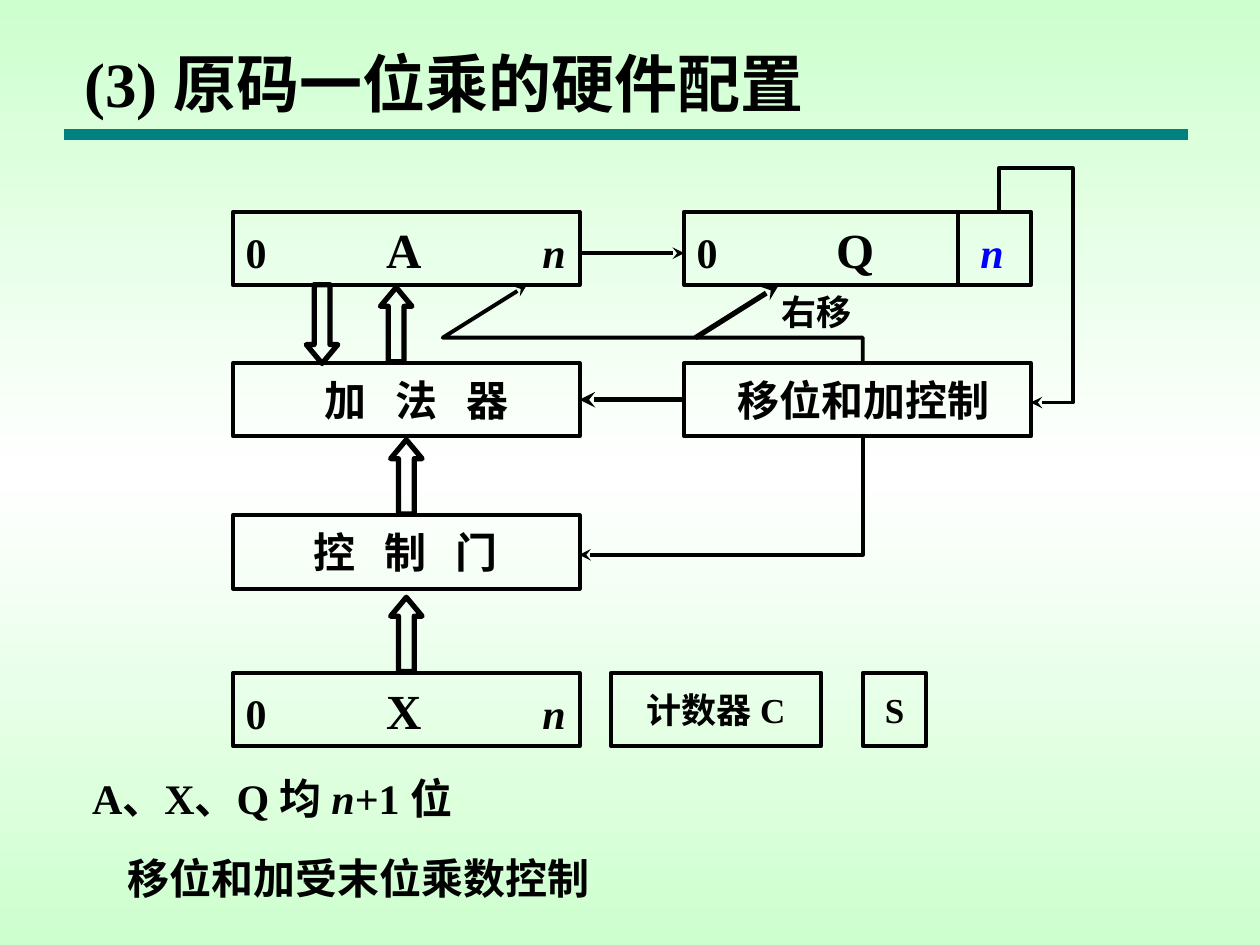
"""Build the slide on the hardware layout of one-bit sign-magnitude multiplication."""
from copy import deepcopy
from dataclasses import dataclass

from pptx import Presentation
from pptx.dml.color import RGBColor
from pptx.enum.shapes import MSO_CONNECTOR, MSO_SHAPE
from pptx.enum.text import MSO_ANCHOR, MSO_AUTO_SIZE, PP_ALIGN
from pptx.oxml.ns import qn
from pptx.oxml.xmlchemy import OxmlElement
from pptx.shapes.autoshape import Shape
from pptx.shapes.connector import Connector
from pptx.slide import Slide
from pptx.util import Pt

BLACK = RGBColor(0x00, 0x00, 0x00)
BLUE = RGBColor(0x00, 0x00, 0xFF)
TEAL = RGBColor(0x00, 0x80, 0x80)
PALE_GREEN = RGBColor(0xCD, 0xFF, 0xCE)
WHITE = RGBColor(0xFF, 0xFF, 0xFF)
FONT = "Times New Roman"

BOX_WIDTH, BOX_HEIGHT = 198, 42
LEFT, RIGHT = 133.2, 391
LEFT_END = LEFT + BOX_WIDTH
RIGHT_END = RIGHT + BOX_WIDTH
REGISTER_TOP, ADDER_TOP, GATE_TOP, X_TOP = 121, 207.4, 294.4, 384.4
CONTROL_X = 493.2


@dataclass(frozen=True)
class Span:
    text: str
    size: float = 24
    italic: bool = False
    color: RGBColor = BLACK


@dataclass(frozen=True)
class Block:
    left: float
    top: float
    spans: tuple[Span, ...]
    tabs: tuple[tuple[float, str], ...] = ()
    width: float = BOX_WIDTH
    inset: float = 7.2


@dataclass(frozen=True)
class BusArrow:
    left: float
    top: float
    height: float = 42.5
    rotation: float = 0


@dataclass(frozen=True)
class Wire:
    points: tuple[tuple[float, float], ...]
    width: float = 2.25
    arrow: bool = True


def register(left: float, top: float, name: str, last: Span, end: float) -> Block:
    """Describe a register with its first bit, name and last bit."""
    spans = (Span("0\t"), Span(name, 28), Span("\t"), last)
    return Block(left, top, spans, ((90.5, "ctr"), (end, "r")))


def spaced_block(top: float, letters: str, first: float) -> Block:
    """Describe a left-hand block whose letters are spread evenly."""
    text = "".join("\t" + letter for letter in letters)
    tabs = tuple((first + 40.6 * i, "ctr") for i in range(len(letters)))
    return Block(LEFT, top, (Span(text),), tabs)


LAST_BIT = Span("n", italic=True)
ADDER = spaced_block(ADDER_TOP, "加法器", 57)
CONTROL = Block(RIGHT, ADDER_TOP, (Span("移位和加控制"),), inset=14)
BLOCKS = (
    register(LEFT, REGISTER_TOP, "A", LAST_BIT, 183),
    register(RIGHT, REGISTER_TOP, "Q", Span("n", italic=True, color=BLUE), 175.5),
    ADDER,
    CONTROL,
    spaced_block(GATE_TOP, "控制门", 51),
    register(LEFT, X_TOP, "X", LAST_BIT, 183),
    Block(349.2, X_TOP, (Span("计数器 C", 20),), width=120),
    Block(CONTROL_X, X_TOP, (Span("S", 20),), width=36),
)
BUS_ARROWS = (
    BusArrow(217.4, 164.2),
    BusArrow(175, 162.7, 45, 180),
    BusArrow(223.2, 251.3),
    BusArrow(223.2, 341.3),
)
WIRES = (
    Wire(((547.2, REGISTER_TOP), (547.2, REGISTER_TOP + BOX_HEIGHT)), arrow=False),
    Wire(((CONTROL_X, ADDER_TOP), (CONTROL_X, 193), (253.4, 193), (301, 163))),
    Wire(((397.4, 193), (445, 163)), 3),
    Wire(((571.2, REGISTER_TOP), (571.2, 96.5), (613.2, 96.5), (613.2, 230.4),
          (RIGHT_END, 230.4))),
    Wire(((LEFT_END, 144.7), (RIGHT, 144.7))),
    Wire(((CONTROL_X, ADDER_TOP + BOX_HEIGHT), (CONTROL_X, 316.8), (LEFT_END, 316.8))),
)
NOTES = (
    (Span("A、X、Q 均 "), Span("n", italic=True), Span("+1 位")),
    (Span("移位和加受末位乘数控制"),),
)


def write_spans(para, spans: tuple[Span, ...]) -> None:
    for item in spans:
        span = para.add_run()
        span.text = item.text
        span.font.name = FONT
        span.font.size = Pt(item.size)
        span.font.bold = True
        span.font.italic = item.italic
        span.font.color.rgb = item.color


def set_tabs(para, tabs: tuple[tuple[float, str], ...]) -> None:
    tab_list = OxmlElement("a:tabLst")
    for position, alignment in tabs:
        tab = OxmlElement("a:tab")
        tab.set("pos", str(int(Pt(position))))
        tab.set("algn", alignment)
        tab_list.append(tab)
    para._p.get_or_add_pPr().append(tab_list)


def place(shape, left: float, top: float, width: float, height: float) -> None:
    shape.left, shape.top = Pt(left), Pt(top)
    shape.width, shape.height = Pt(width), Pt(height)


def outline(shape: Shape, width: float) -> None:
    shape.shadow.inherit = False
    shape.fill.background()
    shape.line.color.rgb = BLACK
    shape.line.width = Pt(width)


def add_arrowhead(shape) -> None:
    head = OxmlElement("a:tailEnd")
    head.set("type", "stealth")
    shape.line._get_or_add_ln().append(head)


def draw_block(slide: Slide, block: Block) -> Shape:
    box = slide.shapes.add_shape(MSO_SHAPE.RECTANGLE, Pt(block.left), Pt(block.top),
                                 Pt(block.width), Pt(BOX_HEIGHT))
    outline(box, 2.25)
    frame = box.text_frame
    frame.word_wrap = True
    frame.vertical_anchor = MSO_ANCHOR.MIDDLE
    frame.margin_left = Pt(block.inset)
    para = frame.paragraphs[0]
    para.alignment = PP_ALIGN.LEFT if block.tabs else PP_ALIGN.CENTER
    if block.tabs:
        set_tabs(para, block.tabs)
    write_spans(para, block.spans)
    return box


def draw_bus_arrow(slide: Slide, arrow: BusArrow) -> None:
    shape = slide.shapes.add_shape(MSO_SHAPE.UP_ARROW, Pt(arrow.left), Pt(arrow.top),
                                   Pt(18), Pt(arrow.height))
    shape.adjustments[0], shape.adjustments[1] = 0.5, 0.6
    shape.rotation = arrow.rotation
    outline(shape, 3)


def draw_line(slide: Slide, start: tuple[float, float], end: tuple[float, float],
              color: RGBColor, width: float) -> Connector:
    line = slide.shapes.add_connector(MSO_CONNECTOR.STRAIGHT,
                                      *(Pt(value) for value in start + end))
    line.line.color.rgb = color
    line.line.width = Pt(width)
    line._element.spPr.append(OxmlElement("a:effectLst"))
    return line


def draw_wire(slide: Slide, wire: Wire) -> None:
    if len(wire.points) == 2:
        shape = draw_line(slide, *wire.points, BLACK, wire.width)
    else:
        builder = slide.shapes.build_freeform(*wire.points[0], scale=float(Pt(1)))
        builder.add_line_segments(wire.points[1:], close=False)
        shape = builder.convert_to_shape()
        outline(shape, wire.width)
    if wire.arrow:
        add_arrowhead(shape)


def paint_background(slide: Slide) -> None:
    fill = slide.background.fill
    fill.gradient()
    fill.gradient_angle = 90
    edge, middle = fill.gradient_stops
    edge.color.rgb, edge.position = PALE_GREEN, 0
    middle.color.rgb, middle.position = WHITE, 0.5
    stops = next(slide._element.iter(qn("a:gsLst")))
    last = deepcopy(stops[0])
    last.set("pos", "100000")
    stops.append(last)


def write_text(slide: Slide) -> None:
    title, body = slide.placeholders
    place(title, 41, 21.6, 487.4, 50.4)
    place(body, 45.4, 437.8, 320, 84)
    for holder in (title, body):
        holder.text_frame.auto_size = MSO_AUTO_SIZE.NONE
        holder.text_frame.vertical_anchor = MSO_ANCHOR.TOP
    heading = title.text_frame.paragraphs[0]
    heading.alignment = PP_ALIGN.LEFT
    write_spans(heading, (Span("(3) 原码一位乘的硬件配置", 36),))
    for index, spans in enumerate(NOTES):
        para = body.text_frame.add_paragraph() if index else body.text_frame.paragraphs[0]
        para.space_before = Pt(17 * index)
        properties = para._p.get_or_add_pPr()
        properties.set("marL", str(int(Pt(20.2 * index))))
        properties.set("indent", "0")
        properties.append(OxmlElement("a:buNone"))
        write_spans(para, spans)
    label = slide.shapes.add_textbox(Pt(439.2), Pt(162.7), Pt(84), Pt(31.7))
    label.text_frame.word_wrap = True
    write_spans(label.text_frame.paragraphs[0], (Span("右移", 20),))


def main() -> None:
    deck = Presentation()
    deck.slide_width, deck.slide_height = Pt(720), Pt(540)
    page = deck.slides.add_slide(deck.slide_layouts[1])
    paint_background(page)
    draw_line(page, (36.7, 77), (679, 77), TEAL, 6)
    write_text(page)
    boxes = {block: draw_block(page, block) for block in BLOCKS}
    for arrow in BUS_ARROWS:
        draw_bus_arrow(page, arrow)
    for wire in WIRES:
        draw_wire(page, wire)
    middle = ADDER_TOP + BOX_HEIGHT / 2
    command = draw_line(page, (RIGHT, middle), (LEFT_END, middle), BLACK, 3)
    command.begin_connect(boxes[CONTROL], 1)
    command.end_connect(boxes[ADDER], 3)
    add_arrowhead(command)
    deck.save("out.pptx")


if __name__ == "__main__":
    main()
